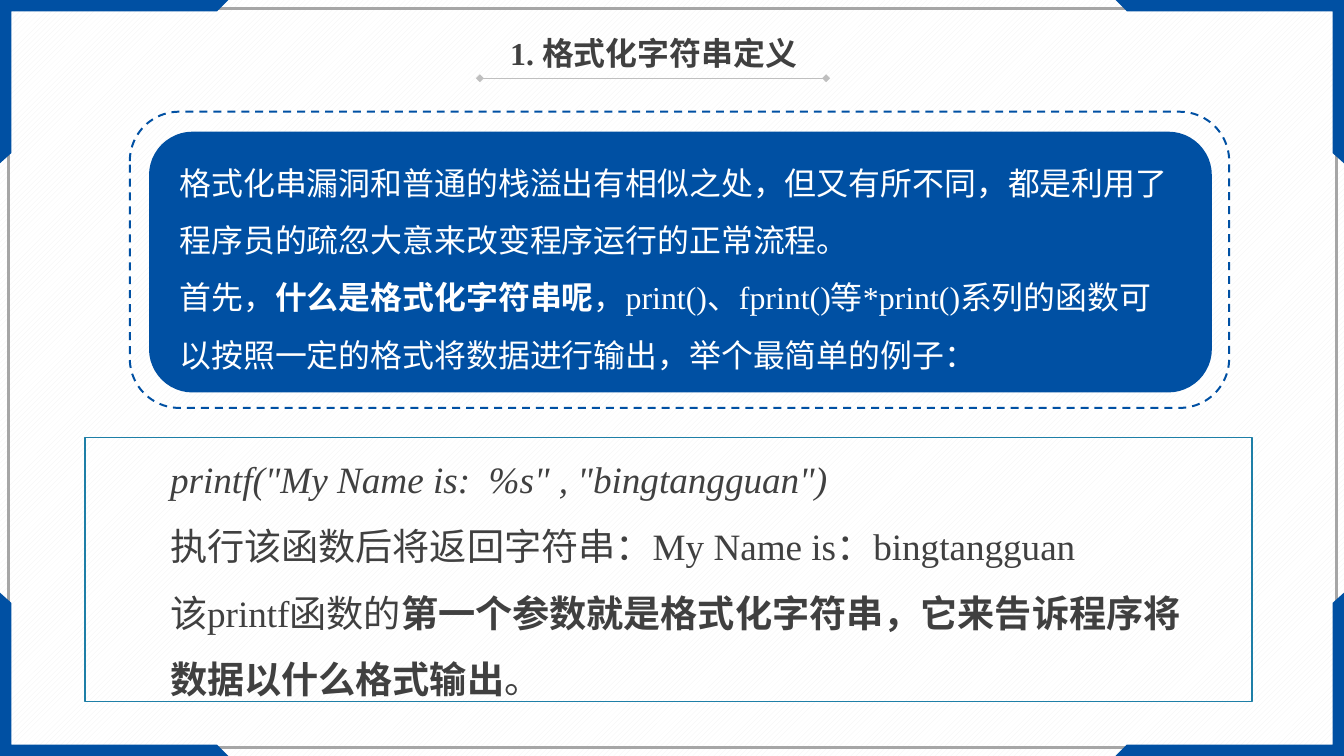
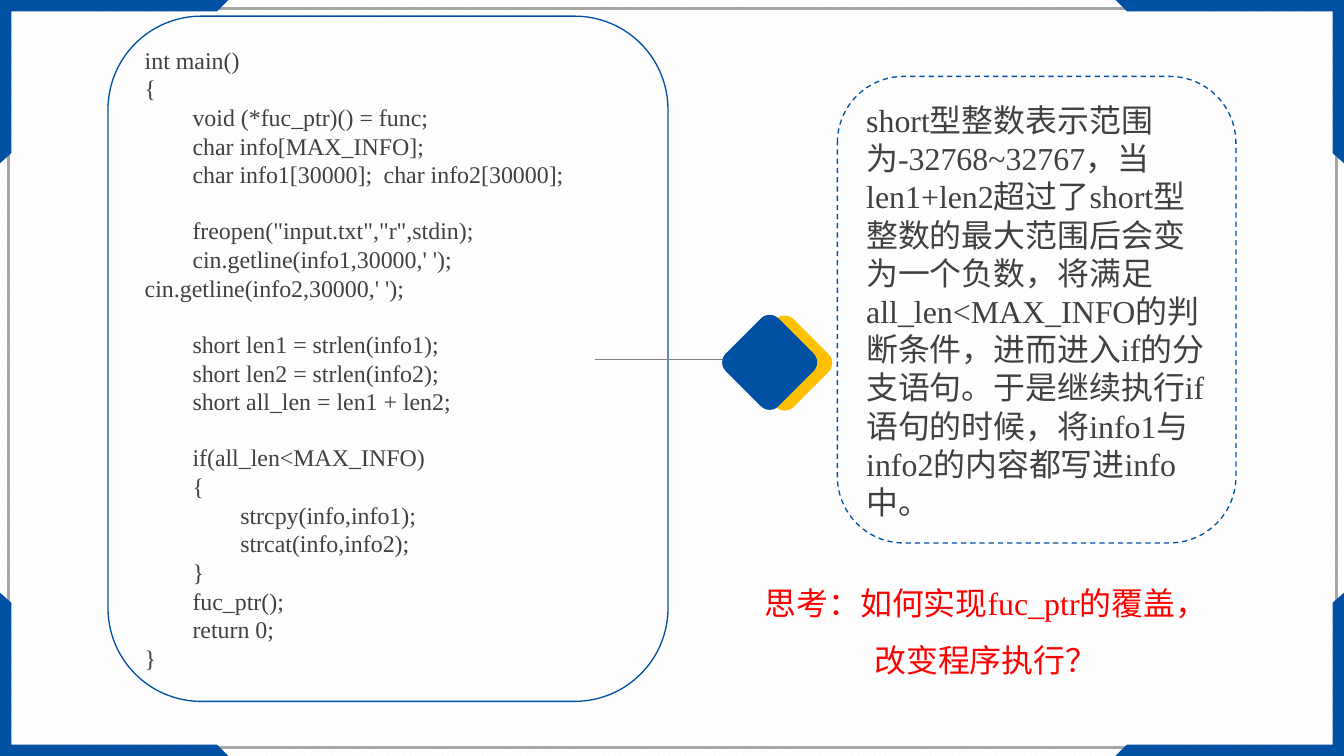
from dataclasses import dataclass

from lxml import etree
from pptx import Presentation
from pptx.dml.color import RGBColor
from pptx.enum.dml import MSO_LINE, MSO_PATTERN
from pptx.enum.lang import MSO_LANGUAGE_ID
from pptx.enum.shapes import MSO_CONNECTOR, MSO_SHAPE
from pptx.enum.text import MSO_ANCHOR, PP_ALIGN
from pptx.oxml.ns import qn
from pptx.util import Cm, Pt

RECT = MSO_SHAPE.RECTANGLE
ROUND = MSO_SHAPE.ROUNDED_RECTANGLE
LEFT, CENTER = PP_ALIGN.LEFT, PP_ALIGN.CENTER
TOP, MIDDLE = MSO_ANCHOR.TOP, MSO_ANCHOR.MIDDLE
STRAIGHT = MSO_CONNECTOR.STRAIGHT
DASH = MSO_LINE.DASH
STRIPES = MSO_PATTERN.WIDE_UPWARD_DIAGONAL
CHINESE = MSO_LANGUAGE_ID.SIMPLIFIED_CHINESE


@dataclass(frozen=True)
class Theme:
    blue: str = "0050A3"
    gold: str = "FFC000"
    teal: str = "1E7FA7"
    red: str = "FF0000"
    white: str = "FFFFFF"
    ink: str = "404040"
    rule: str = "BFBFBF"
    link: str = "808080"
    frame: str = "A6A6A6"
    stripe: str = "F2F2F2"
    font: str = "Times New Roman"
    code: int = 18
    body: int = 24
    large: int = 28


@dataclass(frozen=True)
class Box:
    x: float
    y: float
    w: float
    h: float
    kind: int = RECT
    fill: str = ""
    line: str = ""
    width: float = 1
    dash: bool = False
    turn: float = 0


@dataclass(frozen=True)
class Run:
    text: str
    bold: bool = False
    slant: bool = False


THEME = Theme()
WIDE, HIGH = 35.71, 20.09
CORNER = [(0, 0), (6.07, 0), (5.77, 0.3), (0.3, 0.3), (0.3, 4.07), (0, 4.34)]

PANELS = [
    Box(3.96, 3.5, 28.24, 6.93, ROUND, fill=THEME.blue),
    Box(3.45, 2.97, 29.21, 7.87, ROUND, line=THEME.blue, width=1.5, dash=True),
    Box(2.26, 11.63, 31.01, 7.01, line=THEME.teal),
]
INTRO = [
    [Run("格式化串漏洞和普通的栈溢出有相似之处，但又有所不同，都是利用了程序员的疏忽大意来改变程序运行的正常流程。")],
    [Run("首先，"), Run("什么是格式化字符串呢", bold=True),
     Run("，print()、fprint()等*print()系列的函数可以按照一定的格式将数据进行输出，举个最简单的例子：")],
]
SAMPLE = [
    [Run('printf("My Name is:  %s" , "bingtangguan")', slant=True)],
    [Run("执行该函数后将返回字符串：My Name is：bingtangguan")],
    [Run("该printf函数的"),
     Run("第一个参数就是格式化字符串，它来告诉程序将数据以什么格式输出", bold=True), Run("。")],
]
CODE = [
    ["int main()", "{", "\tvoid (*fuc_ptr)() = func;", "\tchar info[MAX_INFO];",
     "\tchar info1[30000];\tchar info2[30000];"],
    ['\tfreopen("input.txt","r",stdin);',
     "\tcin.getline(info1,30000,' '); \tcin.getline(info2,30000,' ');"],
    ["\tshort len1 = strlen(info1);", "\tshort len2 = strlen(info2);",
     "\tshort all_len = len1 + len2;"],
    ["\tif(all_len<MAX_INFO)", "\t{", "\t\tstrcpy(info,info1);",
     "\t\tstrcat(info,info2);", "\t}", "\tfuc_ptr();", "\treturn 0;", "}"],
]
RANGE = (
    "short型整数表示范围为-32768~32767，当len1+len2超过了short型整数的最大范围后会变为一个负数，"
    "将满足all_len<MAX_INFO的判断条件，进而进入if的分支语句。"
    "于是继续执行if语句的时候，将info1与info2的内容都写进info中。"
)


def tint(hue: str) -> RGBColor:
    return RGBColor.from_string(hue)


def paint(shape, fill: str = "", line: str = "", width: float = 1, dash: bool = False) -> None:
    shape.shadow.inherit = False
    if fill:
        shape.fill.solid()
        shape.fill.fore_color.rgb = tint(fill)
    else:
        shape.fill.background()
    if line:
        shape.line.color.rgb = tint(line)
        shape.line.width = Pt(width)
        if dash:
            shape.line.dash_style = DASH
    else:
        shape.line.fill.background()


def draw(slide, box: Box):
    shape = slide.shapes.add_shape(box.kind, Cm(box.x), Cm(box.y), Cm(box.w), Cm(box.h))
    shape.rotation = box.turn
    paint(shape, box.fill, box.line, box.width, box.dash)
    return shape


def write(shape, paras: list[list[Run]], *, size: int = THEME.body, hue: str = THEME.ink,
          align: int = LEFT, anchor: int = TOP, pitch: float = 1.0,
          gaps: tuple[int, ...] = ()) -> None:
    frame = shape.text_frame
    frame.word_wrap = True
    frame.vertical_anchor = anchor
    for i, runs in enumerate(paras):
        para = frame.add_paragraph() if i else frame.paragraphs[0]
        para.alignment = align
        para.line_spacing = pitch
        if i in gaps:
            para.space_before = Pt(size * 1.15)
        for item in runs:
            run = para.add_run()
            run.text = item.text
            font = run.font
            font.name, font.size = THEME.font, Pt(size)
            font.bold, font.italic = item.bold, item.slant
            font.color.rgb = tint(hue)
            font.language_id = CHINESE


def note(slide, x: float, y: float, w: float, h: float, paras: list[list[Run]], **style) -> None:
    write(slide.shapes.add_textbox(Cm(x), Cm(y), Cm(w), Cm(h)), paras, **style)


def join(slide, x: float, end: float, y: float, hue: str, width: float, tips: bool = False) -> None:
    wire = slide.shapes.add_connector(STRAIGHT, Cm(x), Cm(y), Cm(end), Cm(y))
    wire.line.color.rgb = tint(hue)
    wire.line.width = Pt(width)
    props = wire.element.spPr
    if tips:
        for tag in ("a:headEnd", "a:tailEnd"):
            etree.SubElement(props.find(qn("a:ln")), qn(tag), type="diamond")
    etree.SubElement(props, qn("a:effectLst"))


def corner(slide, right: bool, low: bool):
    spots = [(Cm(WIDE - x if right else x), Cm(HIGH - y if low else y)) for x, y in CORNER]
    pen = slide.shapes.build_freeform(*spots[0])
    pen.add_line_segments(spots[1:])
    shape = pen.convert_to_shape()
    paint(shape, THEME.blue)
    return shape


def dress(deck, layout, slide) -> None:
    fill = deck.slide_master.background.fill
    fill.patterned()
    fill.pattern = STRIPES
    fill.fore_color.rgb = tint(THEME.stripe)
    fill.back_color.rgb = tint(THEME.white)
    for holder in list(layout.placeholders):
        layout.shapes.element.remove(holder.element)
    parts = [draw(slide, Box(0.23, 0.23, 35.28, 19.63, line=THEME.frame, width=2))]
    parts += [corner(slide, right, low) for right in (False, True) for low in (False, True)]
    for part in parts:
        layout.shapes.element.append(part.element)


def define(slide) -> None:
    for box in PANELS:
        draw(slide, box)
    note(slide, 4.52, 3.71, 27.08, 6.4, INTRO, hue=THEME.white, pitch=1.5)
    note(slide, 4.27, 11.4, 27.36, 7.44, SAMPLE, size=THEME.large, pitch=1.5)
    join(slide, 12.75, 21.95, 2.08, THEME.rule, 0.5, tips=True)
    note(slide, 12.27, 0.76, 10.19, 1.27, [[Run("1. 格式化字符串定义", bold=True)]], align=CENTER)


def exploit(slide) -> None:
    lines, gaps = [], []
    for block in CODE:
        gaps.append(len(lines))
        lines += [[Run(line)] for line in block]
    code = draw(slide, Box(2.87, 0.43, 14.88, 18.21, ROUND, line=THEME.blue))
    write(code, lines, size=THEME.code, anchor=MIDDLE, gaps=tuple(gaps[1:]))
    join(slide, 15.8, 20.93, 9.55, THEME.link, 1)
    for x, y, hue in ((19.86, 8.66, THEME.gold), (19.46, 8.64, THEME.blue)):
        draw(slide, Box(x, y, 1.98, 1.98, ROUND, fill=hue, turn=45))
    card = draw(slide, Box(22.25, 2.03, 10.59, 12.4, ROUND, line=THEME.blue, dash=True))
    write(card, [[Run(RANGE)]])
    note(slide, 19.86, 14.88, 12.67, 3.15, [[Run("思考：如何实现fuc_ptr的覆盖，改变程序执行？")]],
         hue=THEME.red, align=CENTER, pitch=1.5)


def main() -> None:
    deck = Presentation()
    deck.slide_width, deck.slide_height = Cm(WIDE), Cm(HIGH)
    layout = deck.slide_layouts[6]
    first, second = (deck.slides.add_slide(layout) for _ in range(2))
    dress(deck, layout, first)
    define(first)
    exploit(second)
    deck.save("out.pptx")


if __name__ == "__main__":
    main()
